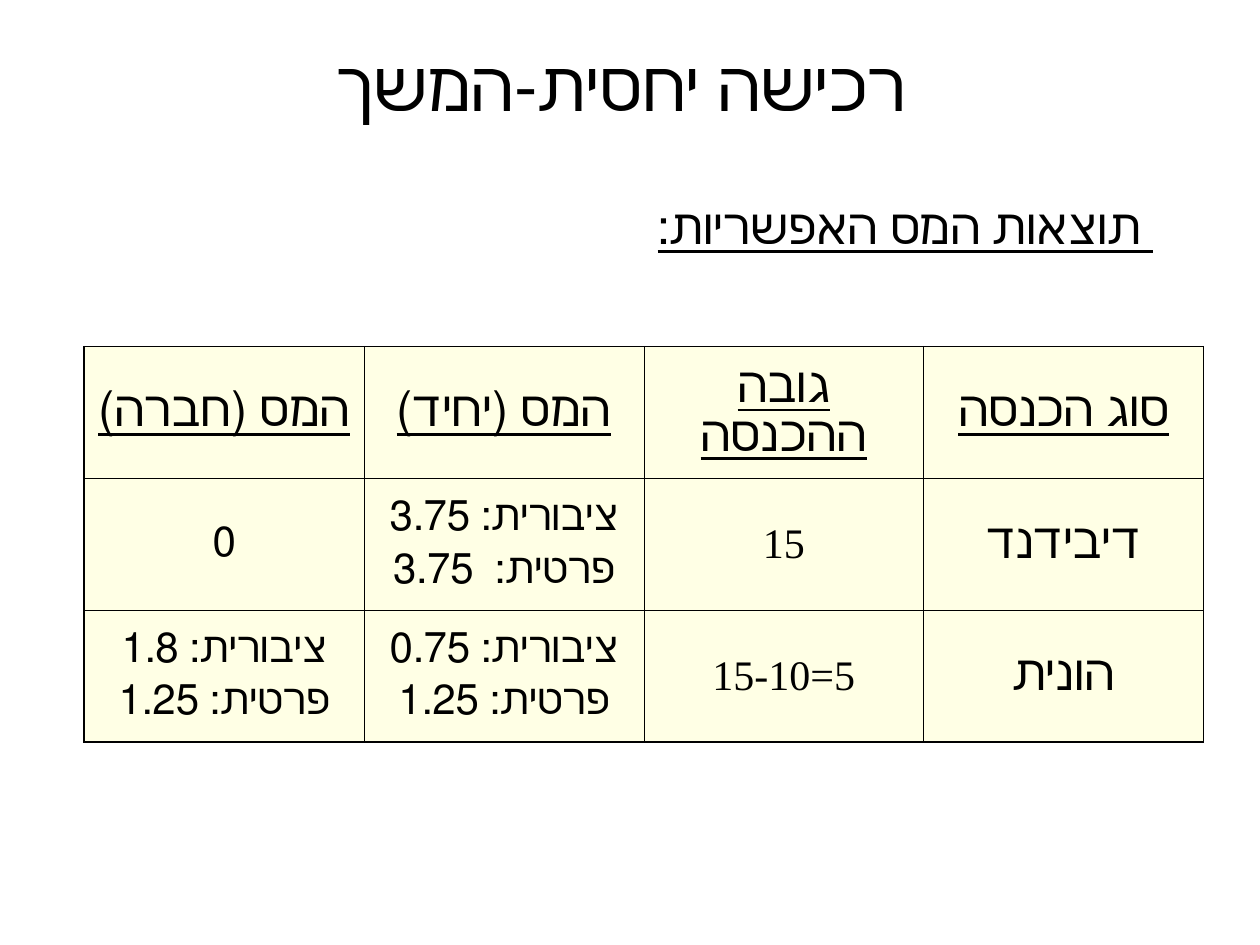
from pptx import Presentation
from pptx.dml.color import RGBColor
from pptx.enum.text import MSO_ANCHOR, PP_ALIGN
from pptx.oxml.ns import qn
from pptx.util import Cm, Pt
from lxml import etree

CENTER, RIGHT = PP_ALIGN.CENTER, PP_ALIGN.RIGHT
MIDDLE, TOP = MSO_ANCHOR.MIDDLE, MSO_ANCHOR.TOP

COLORS = {"text": "000000", "border": "000000", "cell": "FFFFCC"}
FONT = "Times New Roman"
THIN, THICK = 0.45, 1.08
CELL_OPACITY = 50

TITLE = "רכישה יחסית-המשך "
SUBTITLE = " תוצאות המס האפשריות:"
ROWS = [
    [["המס (חברה)"], ["המס (יחיד)"], ["גובה ההכנסה"], ["סוג הכנסה"]],
    [["0"], ["ציבורית: 3.75", "פרטית:  3.75"], ["15"], ["דיבידנד"]],
    [["ציבורית: 1.8", "פרטית: 1.25"], ["ציבורית: 0.75", "פרטית: 1.25"], ["15-10=5"], ["הונית"]],
]
RTL_CELLS = {(1, 0), (1, 1), (2, 1)}
COLUMN_WIDTH, ROW_HEIGHT = Cm(5.64), Cm(2.66)


def write(frame, lines, size, align=CENTER, rtl=False, underline=False):
    frame.text = "\n".join(lines)
    for index, para in enumerate(frame.paragraphs):
        para.alignment = align
        if rtl:
            para._p.get_or_add_pPr().set("rtl", "1")
        if index:
            para.space_before = Pt(6)
        for span in para.runs:
            span.font.name = FONT
            span.font.size = Pt(size)
            span.font.underline = underline
            span.font.color.rgb = RGBColor.from_string(COLORS["text"])


def add_text(page, text, top, height, anchor, **style):
    box = page.shapes.add_textbox(Cm(1.9), Cm(top), Cm(21.6), Cm(height))
    box.text_frame.word_wrap = True
    box.text_frame.vertical_anchor = anchor
    write(box.text_frame, [text], **style)


def paint(cell, borders):
    cell.fill.solid()
    cell.fill.fore_color.rgb = RGBColor.from_string(COLORS["cell"])
    props = cell._tc.get_or_add_tcPr()
    color = props.find(".//" + qn("a:srgbClr"))
    etree.SubElement(color, qn("a:alpha"), val=str(CELL_OPACITY * 1000))
    for index, (side, width) in enumerate(borders.items()):
        line = etree.Element(qn("a:ln" + side), w=str(Pt(width)))
        fill = etree.SubElement(line, qn("a:solidFill"))
        etree.SubElement(fill, qn("a:srgbClr"), val=COLORS["border"])
        props.insert(index, line)


def add_tax_table(page):
    row_count, column_count = len(ROWS), len(ROWS[0])
    table = page.shapes.add_table(
        row_count, column_count, Cm(1.7), Cm(6.98),
        COLUMN_WIDTH * column_count, ROW_HEIGHT * row_count).table
    table.first_row = False
    table.horz_banding = False
    last_row, last_column = row_count - 1, column_count - 1
    for r, row in enumerate(ROWS):
        for c, lines in enumerate(row):
            cell = table.cell(r, c)
            cell.vertical_anchor = MIDDLE
            size = 28 if r == 0 or c == last_column else 24
            write(cell.text_frame, lines, size, rtl=(r, c) in RTL_CELLS, underline=r == 0)
            paint(cell, {
                "L": THICK if c == 0 else THIN,
                "R": THICK if c == last_column else THIN,
                "T": THIN,
                "B": THICK if r == last_row else THIN,
            })


deck = Presentation()
deck.slide_width, deck.slide_height = Cm(25.4), Cm(19.05)
page = deck.slides.add_slide(deck.slide_layouts[6])
add_text(page, TITLE, 0, 3.38, MIDDLE, size=40)
add_text(page, SUBTITLE, 3.81, 13.13, TOP, size=28, align=RIGHT, rtl=True, underline=True)
add_tax_table(page)
deck.save("out.pptx")
